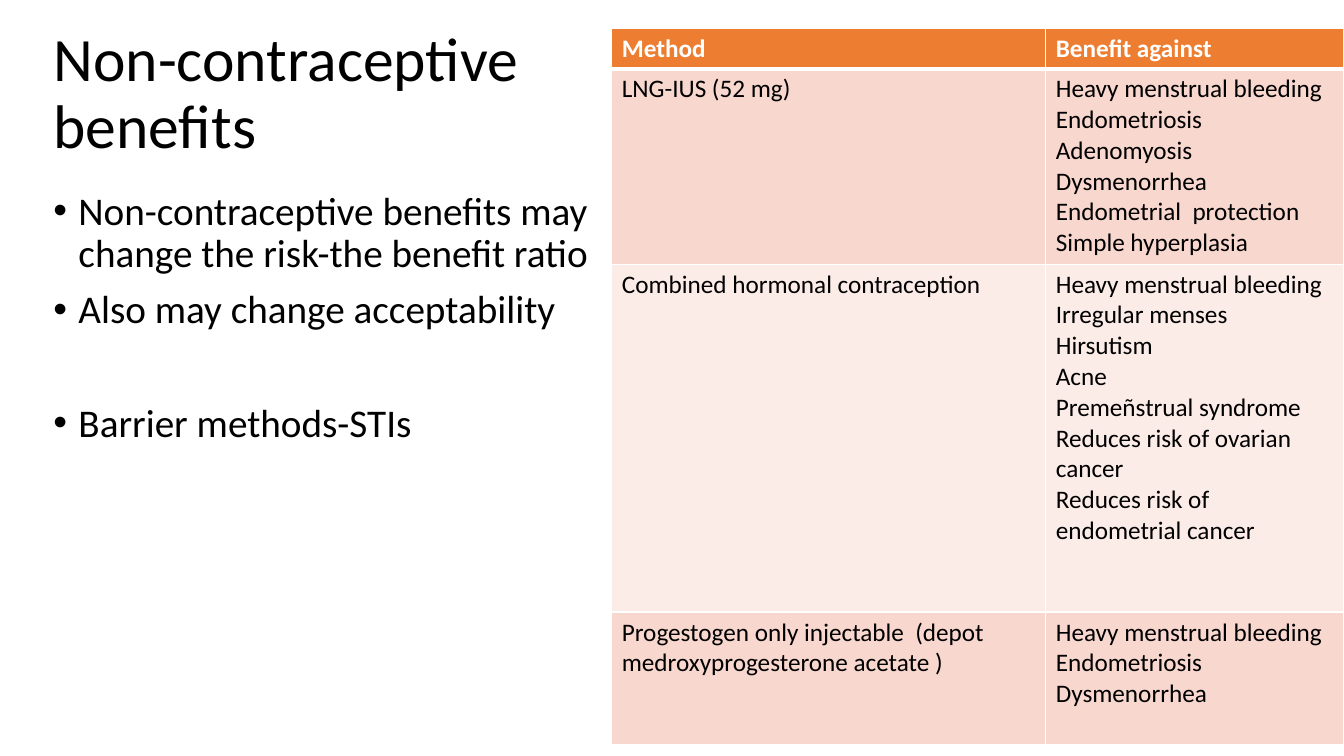
"""Build the slide on non-contraceptive benefits of contraceptive methods."""
import pptx
import pptx.dml.color
import pptx.enum.text
import pptx.oxml
import pptx.oxml.ns
import pptx.util
from lxml import etree

Pt = pptx.util.Pt
RGBColor = pptx.dml.color.RGBColor

TITLE = "Non-contraceptive \vbenefits"
POINTS = [
    ("Non-contraceptive benefits may change the risk-the benefit ratio", 0),
    ("Also may change acceptability", 10),
    ("Barrier methods-STIs", 50.75),
]
HEADINGS = ("Method", ["Benefit against"])
METHODS = [
    ("LNG-IUS (52 mg)",
     ["Heavy menstrual bleeding", "Endometriosis", "Adenomyosis", "Dysmenorrhea",
      "Endometrial  protection", "Simple hyperplasia"]),
    ("Combined hormonal contraception",
     ["Heavy menstrual bleeding", "Irregular menses", "Hirsutism", "Acne",
      "Premeñstrual syndrome", "Reduces risk of ovarian cancer",
      "Reduces risk of endometrial cancer"]),
    ("Progestogen only injectable  (depot medroxyprogesterone acetate )",
     ["Heavy menstrual bleeding", "Endometriosis", "Dysmenorrhea"]),
]
COLUMN_WIDTHS = (310, 213)
ROW_HEIGHTS = (29, 139.5, 248.5, 95)

FONT = "Calibri"
BLACK = RGBColor(0x00, 0x00, 0x00)
WHITE = RGBColor(0xFF, 0xFF, 0xFF)
ORANGE = RGBColor(0xED, 0x7D, 0x31)
BANDS = (RGBColor(0xF8, 0xD7, 0xCE), RGBColor(0xFC, 0xEC, 0xE8))


def style(paragraph, size, color, bold=False):
    paragraph.alignment = pptx.enum.text.PP_ALIGN.LEFT
    for run in paragraph.runs:
        run.font.name = FONT
        run.font.size = Pt(size)
        run.font.color.rgb = color
        run.font.bold = bold


def add_bullet(paragraph, indent):
    properties = paragraph._p.get_or_add_pPr()
    properties.set("marL", str(Pt(indent)))
    properties.set("indent", str(-Pt(indent)))
    for tag, name, value in (("a:buFont", "typeface", "Arial"), ("a:buChar", "char", "•")):
        etree.SubElement(properties, pptx.oxml.ns.qn(tag)).set(name, value)


def add_borders(cell, widths):
    properties = cell._tc.get_or_add_tcPr()
    for position, (side, width) in enumerate(widths.items()):
        properties.insert(position, pptx.oxml.parse_xml(
            f'<a:ln{side} {pptx.oxml.ns.nsdecls("a")} w="{Pt(width)}">'
            f'<a:solidFill><a:srgbClr val="{WHITE}"/></a:solidFill></a:ln{side}>'))


def add_title(slide):
    title = slide.shapes.title
    title.left, title.top, title.width, title.height = Pt(31), Pt(15.8), Pt(828), Pt(104.4)
    frame = title.text_frame
    frame.auto_size = pptx.enum.text.MSO_AUTO_SIZE.NONE
    frame.vertical_anchor = pptx.enum.text.MSO_ANCHOR.MIDDLE
    heading = frame.paragraphs[0]
    heading.text = TITLE
    heading.line_spacing = 0.9
    style(heading, 44, BLACK)


def add_points(slide):
    frame = slide.shapes.add_textbox(Pt(31), Pt(133.2), Pt(429), Pt(342.7)).text_frame
    frame.word_wrap = True
    for index, (point, gap) in enumerate(POINTS):
        paragraph = frame.add_paragraph() if index else frame.paragraphs[0]
        paragraph.text = point
        add_bullet(paragraph, 18)
        paragraph.line_spacing = 0.9
        paragraph.space_before = Pt(gap)
        style(paragraph, 28, BLACK)


def add_benefits(slide):
    rows = [HEADINGS] + METHODS
    table = slide.shapes.add_table(
        len(rows), len(COLUMN_WIDTHS), Pt(437), Pt(20.2),
        Pt(sum(COLUMN_WIDTHS)), Pt(sum(ROW_HEIGHTS))).table
    for column, width in zip(table.columns, COLUMN_WIDTHS):
        column.width = Pt(width)
    for index, (method, benefits) in enumerate(rows):
        table.rows[index].height = Pt(ROW_HEIGHTS[index])
        header = index == 0
        for cell, lines in zip(table.rows[index].cells, ([method], benefits)):
            cell.text_frame.text = "\n".join(lines)
            for paragraph in cell.text_frame.paragraphs:
                style(paragraph, 18, WHITE if header else BLACK, header)
            cell.fill.solid()
            cell.fill.fore_color.rgb = ORANGE if header else BANDS[(index - 1) % 2]
            add_borders(cell, {"L": 1, "R": 1, "T": 3 if index == 1 else 1,
                               "B": 3 if header else 1})


def main():
    deck = pptx.Presentation()
    deck.slide_width, deck.slide_height = Pt(960), Pt(540)
    slide = deck.slides.add_slide(deck.slide_layouts[5])
    add_title(slide)
    add_points(slide)
    add_benefits(slide)
    deck.save("out.pptx")


if __name__ == "__main__":
    main()
